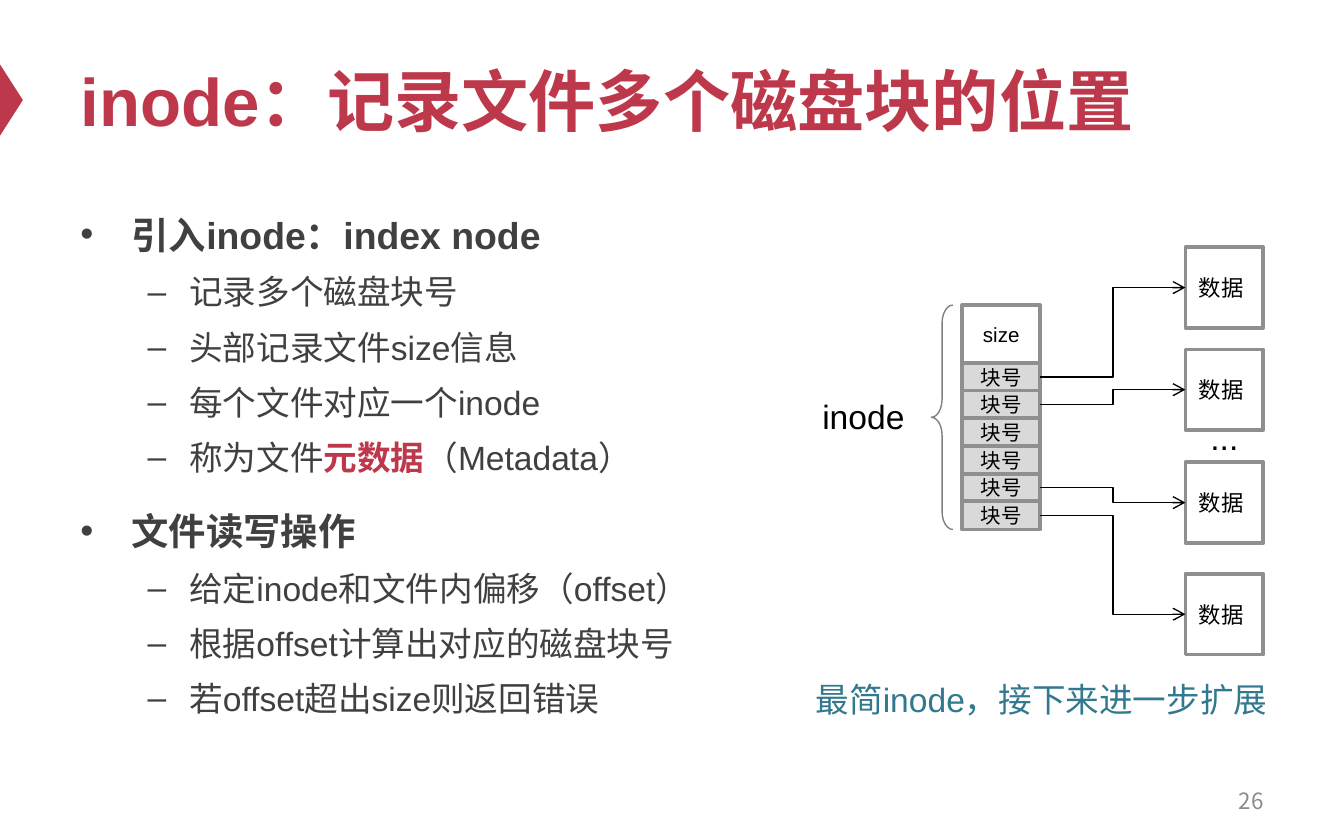
from lxml.etree import SubElement
from pptx import Presentation
from pptx.dml.color import RGBColor
from pptx.enum.shapes import MSO_CONNECTOR, MSO_SHAPE
from pptx.enum.text import MSO_ANCHOR, PP_ALIGN
from pptx.oxml.ns import qn
from pptx.util import Inches, Pt

THEME = {
    "font": "Arial", "cjk": "Noto Sans CJK SC",
    "accent": "BE384B", "body": "404040", "black": "000000", "white": "FFFFFF",
    "cell": "D9D9D9", "border": "8F8F8F", "brace": "808080",
    "note": "32788E", "number": "8C8C8C",
    "title_pt": 36, "heading_pt": 20, "text_pt": 18, "small_pt": 12, "cell_pt": 11,
}
TITLE = "inode：记录文件多个磁盘块的位置"
# Each section: heading, then points; a point in several runs marks the key term
SECTIONS = [
    ("引入inode：index node", [
        ["记录多个磁盘块号"],
        ["头部记录文件size信息"],
        ["每个文件对应一个inode"],
        ["称为文件", ("元数据",), "（Metadata）"],
    ]),
    ("文件读写操作", [
        ["给定inode和文件内偏移（offset）"],
        ["根据offset计算出对应的磁盘块号"],
        ["若offset超出size则返回错误"],
    ]),
]
BLOCK_COUNT = 6
DATA_TOPS = [1.84, 2.6, 3.44, 4.27]
LINKS = [(0, 0), (1, 1), (4, 2), (5, 3)]  # block number -> data block
LABELS = [  # text, box, format
    ("...", (8.69, 3.05, 0.84, 0.4), {"align": PP_ALIGN.CENTER}),
    ("inode", (6.02, 2.9, 1, 0.4), {}),
    ("最简inode，接下来进一步扩展", (5.97, 5, 3.87, 0.4), {"color": "note"}),
    ("26", (7.17, 5.79, 2.33, 0.33),
     {"size": "small_pt", "color": "number", "align": PP_ALIGN.RIGHT,
      "font": "cjk", "anchor": MSO_ANCHOR.MIDDLE}),
]
COLUMN_X, DATA_X, BOX_W = 7.16, 8.82, 0.58
COLUMN_TOP, SIZE_H, BLOCK_TOP, BLOCK_H = 2.27, 0.43, 2.7, 0.21
BLOCK_STEP, DATA_H = 0.206, 0.6
LINE_SPACING = 1.2


def rgb(name):
    return RGBColor.from_string(THEME[name])


def inches(box):
    return [Inches(v) for v in box]


def add_run(p, text, size="text_pt", color="black", bold=False, font="font"):
    r = p.add_run()
    r.text = text
    r.font.size = Pt(THEME[size])
    r.font.bold = bold
    r.font.color.rgb = rgb(color)
    r.font.name = THEME[font]
    SubElement(r._r.get_or_add_rPr(), qn("a:ea"), typeface=THEME["cjk"])


def write(sp, text, align=PP_ALIGN.LEFT, anchor=MSO_ANCHOR.TOP, **run_format):
    tf = sp.text_frame
    tf.word_wrap = True
    tf.vertical_anchor = anchor
    p = tf.paragraphs[0]
    p.alignment = align
    add_run(p, text, **run_format)


def add_shape(slide, kind, box, fill=None, line=None, width=2):
    s = slide.shapes.add_shape(kind, *inches(box))
    s.shadow.inherit = False
    if fill:
        s.fill.solid()
        s.fill.fore_color.rgb = rgb(fill)
    else:
        s.fill.background()
    if line:
        s.line.color.rgb = rgb(line)
        s.line.width = Pt(width)
    else:
        s.line.fill.background()
    return s


def add_box(slide, box, text, fill="white", size="cell_pt", align=PP_ALIGN.CENTER):
    s = add_shape(slide, MSO_SHAPE.RECTANGLE, box, fill, "border")
    s.text_frame.margin_top = s.text_frame.margin_bottom = 0
    write(s, text, align, MSO_ANCHOR.MIDDLE, size=size)
    return s


def add_bullet(p, char, left, hanging):
    pPr = p._p.get_or_add_pPr()
    pPr.set("marL", str(Inches(left)))
    pPr.set("indent", str(-Inches(hanging)))
    SubElement(pPr, qn("a:buFont"), typeface=THEME["font"])
    SubElement(pPr, qn("a:buChar"), char=char)
    p.line_spacing = LINE_SPACING


def add_link(slide, source, target):
    """Elbow arrow from the right side of source to the left side of target."""
    c = slide.shapes.add_connector(MSO_CONNECTOR.ELBOW, 0, 0, 0, 0)
    c.begin_connect(source, 3)
    c.end_connect(target, 1)
    c.line.color.rgb = rgb("black")
    c.line.width = Pt(0.75)
    SubElement(c.line._get_or_add_ln(), qn("a:tailEnd"), type="arrow")
    SubElement(c._element.spPr, qn("a:effectLst"))


def add_outline(slide):
    tf = slide.shapes.add_textbox(*inches((0.5, 1.46, 9, 4.12))).text_frame
    tf.word_wrap = True
    for i, (heading, points) in enumerate(SECTIONS):
        p = tf.add_paragraph() if i else tf.paragraphs[0]
        add_bullet(p, "•", 0.38, 0.38)
        if i:
            p.space_before = Pt(12)
        add_run(p, heading, "heading_pt", "body", bold=True)
        for point in points:
            p = tf.add_paragraph()
            p.level = 1
            add_bullet(p, "–", 0.81, 0.31)
            p.space_before = Pt(3.6)
            for part in point:
                key = isinstance(part, tuple)
                add_run(p, part[0] if key else part,
                        color="accent" if key else "body", bold=key)


def add_diagram(slide):
    add_box(slide, (COLUMN_X, COLUMN_TOP, BOX_W, SIZE_H), "size")
    blocks = [add_box(slide, (COLUMN_X, BLOCK_TOP + i * BLOCK_STEP, BOX_W, BLOCK_H),
                      "块号", fill="cell") for i in range(BLOCK_COUNT)]
    brace = add_shape(slide, MSO_SHAPE.LEFT_BRACE, (6.93, COLUMN_TOP, 0.16, 1.67),
                      line="brace", width=0.75)
    brace.adjustments[0] = 0.84
    data = [add_box(slide, (DATA_X, top, BOX_W, DATA_H), "数据",
                    size="small_pt", align=PP_ALIGN.LEFT) for top in DATA_TOPS]
    for block, target in LINKS:
        add_link(slide, blocks[block], data[target])


def main():
    prs = Presentation()
    prs.slide_width, prs.slide_height = Inches(10), Inches(6.25)
    slide = prs.slides.add_slide(prs.slide_layouts[5])

    marker = add_shape(slide, MSO_SHAPE.ISOSCELES_TRIANGLE,
                       (-0.18, 0.66, 0.53, 0.17), "accent")
    marker.rotation = 90
    title = slide.shapes.title
    title.left, title.top, title.width, title.height = inches((0.5, 0.25, 9, 0.98))
    write(title, TITLE, anchor=MSO_ANCHOR.MIDDLE,
          size="title_pt", color="accent", bold=True)

    add_outline(slide)
    add_diagram(slide)
    for text, box, text_format in LABELS:
        write(slide.shapes.add_textbox(*inches(box)), text, **text_format)
    prs.save("out.pptx")


if __name__ == "__main__":
    main()
